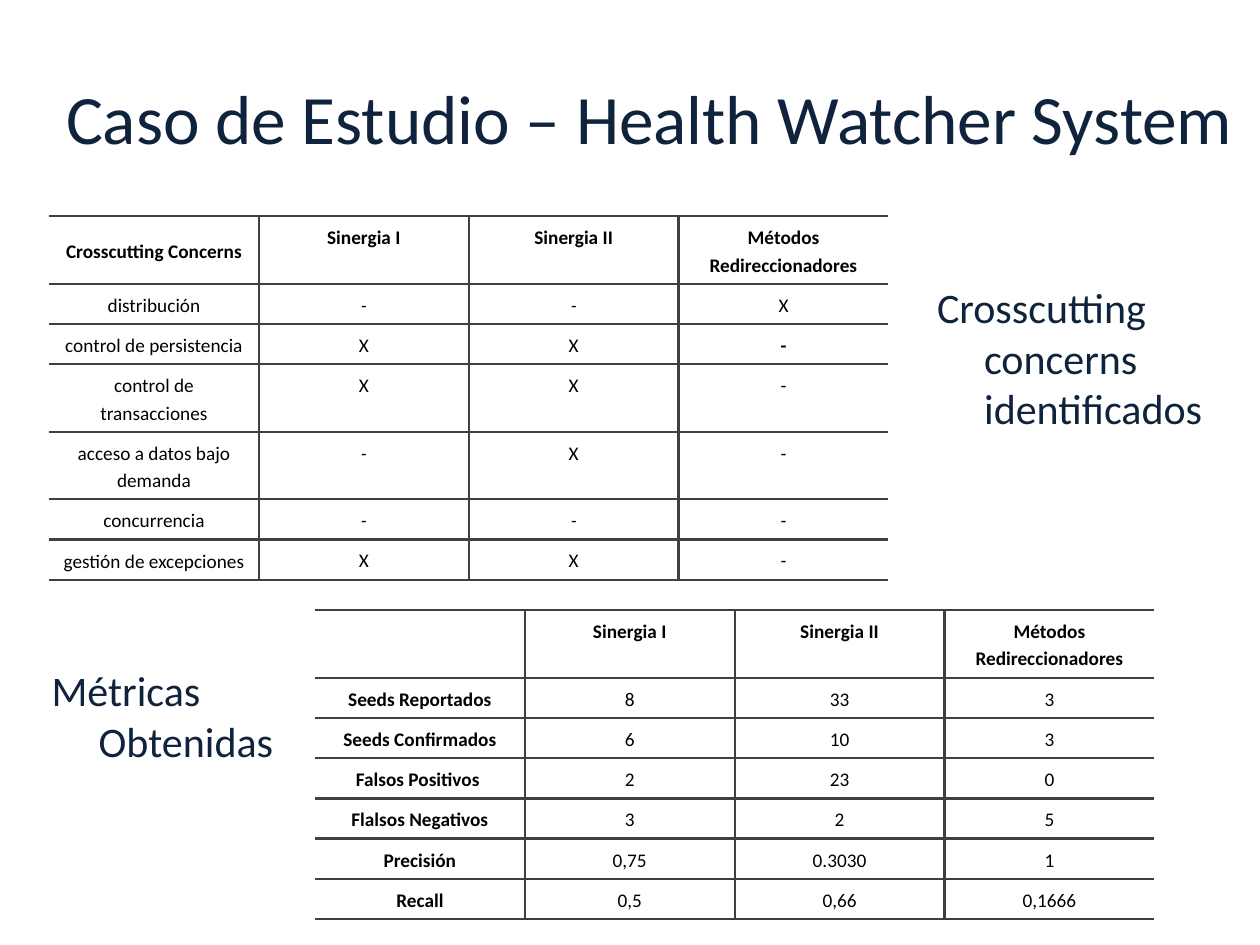
from lxml import etree
from pptx import Presentation
from pptx.dml.color import RGBColor
from pptx.enum.text import MSO_ANCHOR, PP_ALIGN
from pptx.oxml.ns import qn
from pptx.util import Cm, Pt

LEFT, CENTER = PP_ALIGN.LEFT, PP_ALIGN.CENTER
TOP, MIDDLE = MSO_ANCHOR.TOP, MSO_ANCHOR.MIDDLE
NAVY, BLACK, GRAY = "0F233C", "000000", "404040"
COLUMN_WIDTH = 4.23
SHORT_ROW, TALL_ROW = 0.81, 1.36
HANGING = Cm(0.95)


def write(frame, text, size=11, color=BLACK, bold=False, italic=False,
          align=CENTER, spacing=None, hanging=False):
    frame.word_wrap = True
    para = frame.paragraphs[0]
    para.alignment = align
    if spacing:
        para.line_spacing = spacing
    if hanging:
        properties = para._p.get_or_add_pPr()
        properties.set("marL", str(HANGING))
        properties.set("indent", str(-HANGING))
    span = para.add_run()
    span.text = text
    span.font.name = "Calibri"
    span.font.size = Pt(size)
    span.font.bold = bold
    span.font.italic = italic
    span.font.color.rgb = RGBColor.from_string(color)


def set_borders(cell, hidden):
    """Rule all four sides of the cell, except those named in hidden."""
    properties = cell._tc.get_or_add_tcPr()
    for position, side in enumerate(("lnL", "lnR", "lnT", "lnB")):
        line = etree.Element(qn("a:" + side), w=str(Pt(1.5)))
        if side in hidden:
            etree.SubElement(line, qn("a:noFill"))
        else:
            fill = etree.SubElement(line, qn("a:solidFill"))
            etree.SubElement(fill, qn("a:srgbClr"), val=GRAY)
        properties.insert(position, line)


deck = Presentation()
deck.slide_width, deck.slide_height = Cm(25.4), Cm(19.05)
page = deck.slides.add_slide(deck.slide_layouts[6])

concerns = [
    ("Crosscutting Concerns", "Sinergia I", "Sinergia II", "Métodos Redireccionadores"),
    ("distribución", "-", "-", "X"),
    ("control de persistencia", "X", "X", "-"),
    ("control de transacciones", "X", "X", "-"),
    ("acceso a datos bajo demanda", "-", "X", "-"),
    ("concurrencia", "-", "-", "-"),
    ("gestión de excepciones", "X", "X", "-"),
]
metrics = [
    ("", "Sinergia I", "Sinergia II", "Métodos Redireccionadores"),
    ("Seeds Reportados", "8", "33", "3"),
    ("Seeds Confirmados", "6", "10", "3"),
    ("Falsos Positivos ", "2", "23", "0"),
    ("Flalsos Negativos", "3", "2", "5"),
    ("Precisión", "0,75", "0.3030", "1"),
    ("Recall", "0,5", "0,66", "0,1666"),
]

# left, top, rows, tall rows, bold first column, other bold cells
tables = [
    (0.99, 4.36, concerns, {0, 3, 4}, False, {(2, 3)}),
    (6.35, 12.3, metrics, {0}, True, set()),
]
for left, top, rows, tall_rows, bold_labels, bold_cells in tables:
    heights = [TALL_ROW if r in tall_rows else SHORT_ROW for r in range(len(rows))]
    columns = len(rows[0])
    table = page.shapes.add_table(
        len(rows), columns, Cm(left), Cm(top),
        Cm(COLUMN_WIDTH * columns), Cm(sum(heights))).table
    table.first_row = table.horz_banding = False
    for column in table.columns:
        column.width = Cm(COLUMN_WIDTH)
    for r, row in enumerate(rows):
        table.rows[r].height = Cm(heights[r])
        for c, text in enumerate(row):
            cell = table.cell(r, c)
            cell.fill.background()
            cell.margin_left = cell.margin_right = Cm(0.19)
            cell.margin_top = cell.margin_bottom = Cm(0.13)
            cell.vertical_anchor = MIDDLE if c == 0 else TOP
            set_borders(cell, {0: {"lnL"}, columns - 1: {"lnR"}}.get(c, set()))
            if text:
                write(cell.text_frame, text, spacing=1.15,
                      bold=r == 0 or (c == 0 and bold_labels) or (r, c) in bold_cells,
                      italic=text == "-" and c in (1, 2))

# text, left, top, width, height, anchor, format
boxes = [
    ("Caso de Estudio – Health Watcher System", 0.79, 0.76, 24.61, 3.18, MIDDLE,
     {"size": 39.6}),
    ("Métricas Obtenidas", 0.79, 13.28, 5.36, 2.39, TOP,
     {"size": 24, "align": LEFT, "hanging": True}),
    ("Crosscutting concerns identificados", 18.64, 5.56, 6.76, 3.96, TOP,
     {"size": 24, "align": LEFT, "hanging": True}),
]
for text, left, top, width, height, anchor, style in boxes:
    box = page.shapes.add_textbox(Cm(left), Cm(top), Cm(width), Cm(height))
    box.text_frame.vertical_anchor = anchor
    write(box.text_frame, text, color=NAVY, **style)

deck.save("out.pptx")
